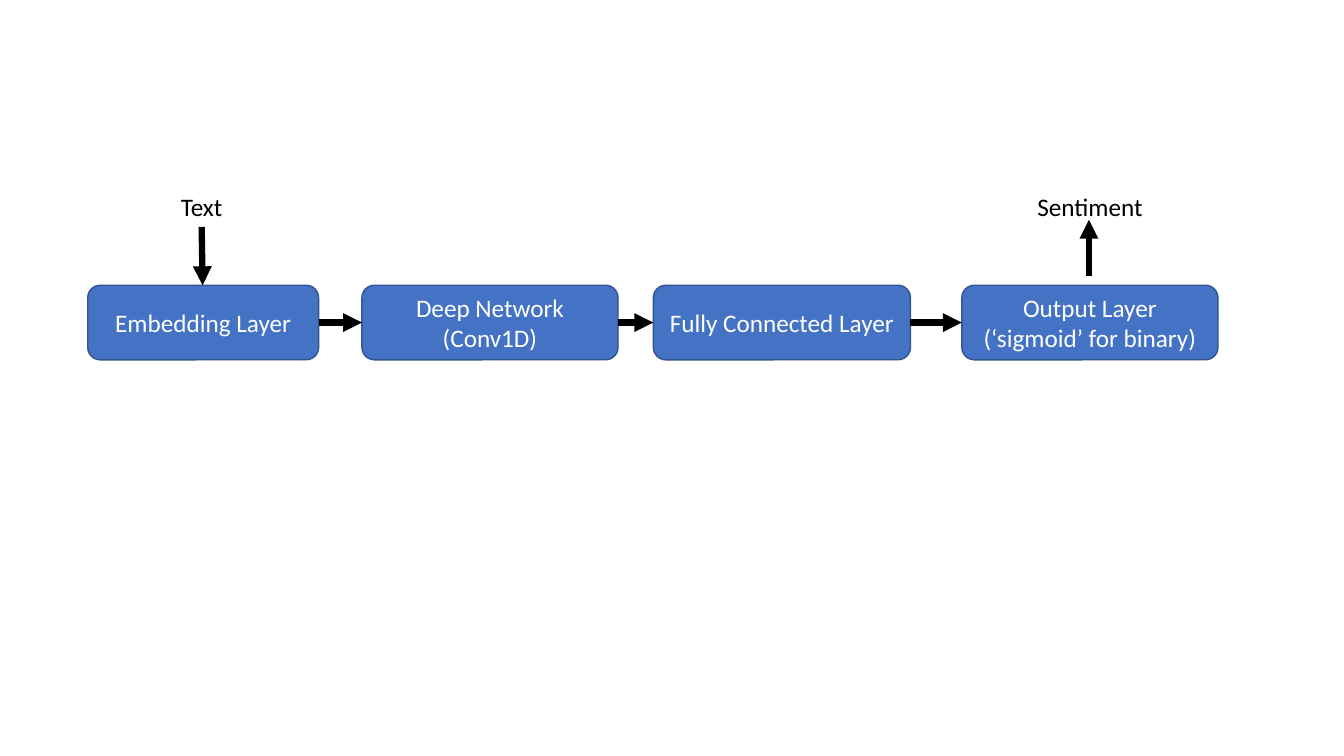
"""Build a slide showing a text sentiment network as a chain of layers."""
import pptx
import pptx.dml.color
import pptx.enum.shapes
import pptx.enum.text
import pptx.oxml
import pptx.oxml.ns
import pptx.util

Inches = pptx.util.Inches
Pt = pptx.util.Pt
RGBColor = pptx.dml.color.RGBColor

BLUE = RGBColor(0x44, 0x72, 0xC4)
DARK_BLUE = RGBColor(0x32, 0x54, 0x91)
WHITE = RGBColor(0xFF, 0xFF, 0xFF)
BLACK = RGBColor(0x00, 0x00, 0x00)

LAYERS = [
    ("Embedding Layer", 0.87, 2.29),
    ("Deep Network\n(Conv1D)", 3.59, 2.54),
    ("Fully Connected Layer", 6.48, 2.55),
    ("Output Layer\n(‘sigmoid’ for binary)", 9.54, 2.54),
]
LABELS = [("Text", 1.16), ("Sentiment", 9.97)]
INPUT_ARROW = (2, 2.25, 2.01, 2.83)
OUTPUT_ARROW = (10.8, 2.74, 10.8, 2.18)

LAYER_TOP, LAYER_HEIGHT = 2.83, 0.74
LABEL_TOP, LABEL_WIDTH, LABEL_HEIGHT = 1.85, 1.68, 0.4


def write_text(shape, text, color):
    shape.text_frame.text = text
    for paragraph in shape.text_frame.paragraphs:
        paragraph.alignment = pptx.enum.text.PP_ALIGN.CENTER
        for run in paragraph.runs:
            run.font.name = "Calibri"
            run.font.size = Pt(18)
            run.font.color.rgb = color


def add_layer(slide, text, left, width):
    shape = slide.shapes.add_shape(
        pptx.enum.shapes.MSO_SHAPE.ROUNDED_RECTANGLE,
        Inches(left), Inches(LAYER_TOP), Inches(width), Inches(LAYER_HEIGHT))
    shape.shadow.inherit = False
    shape.fill.solid()
    shape.fill.fore_color.rgb = BLUE
    shape.line.color.rgb = DARK_BLUE
    shape.line.width = Pt(1)
    shape.text_frame.word_wrap = True
    shape.text_frame.vertical_anchor = pptx.enum.text.MSO_ANCHOR.MIDDLE
    write_text(shape, text, WHITE)


def add_label(slide, text, left):
    box = slide.shapes.add_textbox(
        Inches(left), Inches(LABEL_TOP), Inches(LABEL_WIDTH), Inches(LABEL_HEIGHT))
    box.text_frame.word_wrap = True
    box.text_frame.auto_size = pptx.enum.text.MSO_AUTO_SIZE.SHAPE_TO_FIT_TEXT
    write_text(box, text, BLACK)


def add_arrow(slide, *ends):
    arrow = slide.shapes.add_connector(
        pptx.enum.shapes.MSO_CONNECTOR.STRAIGHT, *(Inches(value) for value in ends))
    arrow.line.color.rgb = BLACK
    arrow.line.width = Pt(4.5)
    head = pptx.oxml.parse_xml(
        f'<a:tailEnd {pptx.oxml.ns.nsdecls("a")} type="triangle"/>')
    arrow.line._get_or_add_ln().append(head)
    no_shadow = pptx.oxml.parse_xml(f'<a:effectLst {pptx.oxml.ns.nsdecls("a")}/>')
    arrow._element.spPr.append(no_shadow)


def main():
    presentation = pptx.Presentation()
    presentation.slide_width = Inches(13.33)
    presentation.slide_height = Inches(7.5)
    slide = presentation.slides.add_slide(presentation.slide_layouts[6])

    for layer in LAYERS:
        add_layer(slide, *layer)
    middle = LAYER_TOP + LAYER_HEIGHT / 2
    for (_, left, width), (_, next_left, _) in zip(LAYERS, LAYERS[1:]):
        add_arrow(slide, left + width, middle, next_left, middle)
    for label, arrow in zip(LABELS, (INPUT_ARROW, OUTPUT_ARROW)):
        add_label(slide, *label)
        add_arrow(slide, *arrow)

    presentation.save("out.pptx")


if __name__ == "__main__":
    main()
